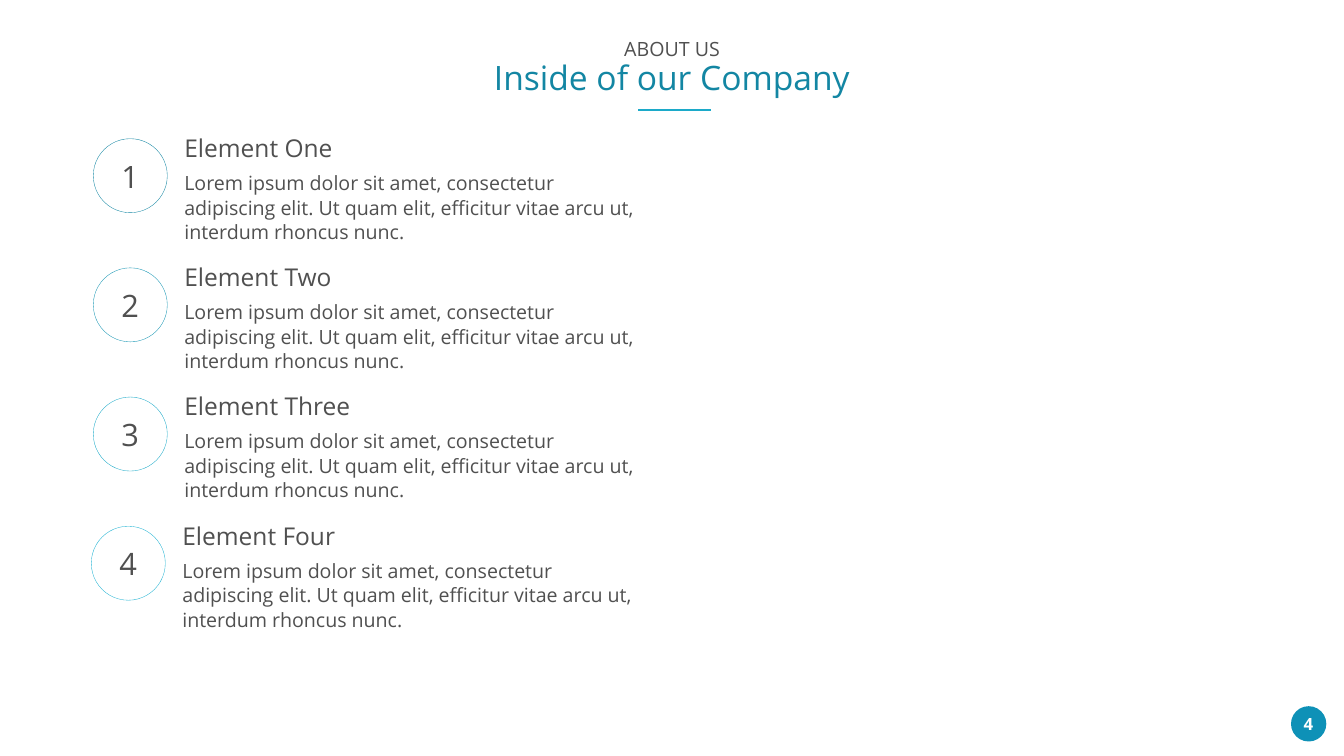
import pptx
import pptx.dml.color
import pptx.enum.shapes
import pptx.enum.text
import pptx.oxml.ns
import pptx.util
from lxml import etree
from pptx.util import Cm

FONT = "Open Sans"
COLORS = {
    "text": "505050",
    "title": "1386A3",
    "rule": "1CAAC9",
    "badge": "0E91B7",
    "white": "FFFFFF",
}

KICKER = "ABOUT US"
TITLE = "Inside of our Company"
PAGE_NUMBER = "4"
DESCRIPTION = (
    "Lorem ipsum dolor sit amet, consectetur adipiscing elit. "
    "Ut quam elit, efficitur vitae arcu ut, interdum rhoncus nunc."
)
# heading, circle outline, left shift in cm
ELEMENTS = [
    ("Element One", "1386A3", 0),
    ("Element Two", "1897B5", 0),
    ("Element Three", "1CAAC9", 0),
    ("Element Four", "1FB3D3", -0.1),
]

FIRST_TOP = 6.99
ROW_PITCH = 6.51
CIRCLE_LEFT = 4.7
CIRCLE_SIZE = 3.73
TEXT_LEFT = 9.04
TEXT_WIDTH = 23.9


def rgb(value):
    return pptx.dml.color.RGBColor.from_string(value)


def format_paragraph(paragraph, size, color, bold=False, centered=False, spacing=None):
    align = pptx.enum.text.PP_ALIGN
    paragraph.alignment = align.CENTER if centered else align.LEFT
    if spacing is not None:
        paragraph.line_spacing = spacing
    for run in paragraph.runs:
        run.font.name = FONT
        run.font.size = pptx.util.Pt(size)
        run.font.bold = bold
        run.font.color.rgb = rgb(color)


def add_text(slide, text, left, top, width, height, size, color, **style):
    box = slide.shapes.add_textbox(Cm(left), Cm(top), Cm(width), Cm(height))
    box.text_frame.word_wrap = True
    box.text_frame.text = text
    format_paragraph(box.text_frame.paragraphs[0], size, color, **style)


def add_circle(slide, left, top, size, fill=None, outline=None):
    circle = slide.shapes.add_shape(
        pptx.enum.shapes.MSO_SHAPE.OVAL, Cm(left), Cm(top), Cm(size), Cm(size)
    )
    circle.shadow.inherit = False
    if fill:
        circle.fill.solid()
        circle.fill.fore_color.rgb = rgb(fill)
    else:
        circle.fill.background()
    if outline:
        circle.line.color.rgb = rgb(outline)
        circle.line.width = pptx.util.Pt(0.5)
    else:
        circle.line.fill.background()
    return circle


def add_title(slide):
    title = slide.shapes.title
    title.left, title.top = Cm(24.54), Cm(1.88)
    title.width, title.height = Cm(18.64), Cm(3.18)
    frame = title.text_frame
    frame.auto_size = pptx.enum.text.MSO_AUTO_SIZE.NONE
    frame.vertical_anchor = pptx.enum.text.MSO_ANCHOR.TOP
    frame.text = KICKER
    frame.add_paragraph().text = TITLE
    styles = [(28, COLORS["text"]), (48, COLORS["title"])]
    for paragraph, (size, color) in zip(frame.paragraphs, styles):
        format_paragraph(paragraph, size, color, centered=True, spacing=0.9)


def add_title_rule(slide):
    rule = slide.shapes.add_connector(
        pptx.enum.shapes.MSO_CONNECTOR.STRAIGHT, Cm(32.16), Cm(5.54), Cm(35.81), Cm(5.54)
    )
    rule.line.color.rgb = rgb(COLORS["rule"])
    rule.line.width = pptx.util.Pt(3)
    etree.SubElement(rule._element.spPr, pptx.oxml.ns.qn("a:effectLst"))


def add_element(slide, number, top, heading, outline, shift):
    circle = add_circle(slide, CIRCLE_LEFT + shift, top, CIRCLE_SIZE, outline=outline)
    frame = circle.text_frame
    frame.vertical_anchor = pptx.enum.text.MSO_ANCHOR.MIDDLE
    frame.text = str(number)
    format_paragraph(frame.paragraphs[0], 44, COLORS["text"], centered=True)

    left = TEXT_LEFT + shift
    add_text(slide, DESCRIPTION, left, top + 1.45, TEXT_WIDTH, 3.97,
             28, COLORS["text"], spacing=pptx.util.Pt(35))
    add_text(slide, heading, left, top - 0.41, TEXT_WIDTH, 1.75, 35, COLORS["text"])


def main():
    presentation = pptx.Presentation()
    presentation.slide_width = Cm(67.72)
    presentation.slide_height = Cm(38.1)
    slide = presentation.slides.add_slide(presentation.slide_layouts[5])

    add_title(slide)
    add_title_rule(slide)
    for index, element in enumerate(ELEMENTS):
        add_element(slide, index + 1, FIRST_TOP + index * ROW_PITCH, *element)

    add_circle(slide, 65.05, 35.59, 1.78, fill=COLORS["badge"])
    add_text(slide, PAGE_NUMBER, 64.92, 35.84, 2.01, 1.27,
             24, COLORS["white"], bold=True, centered=True)

    presentation.save("out.pptx")


if __name__ == "__main__":
    main()
